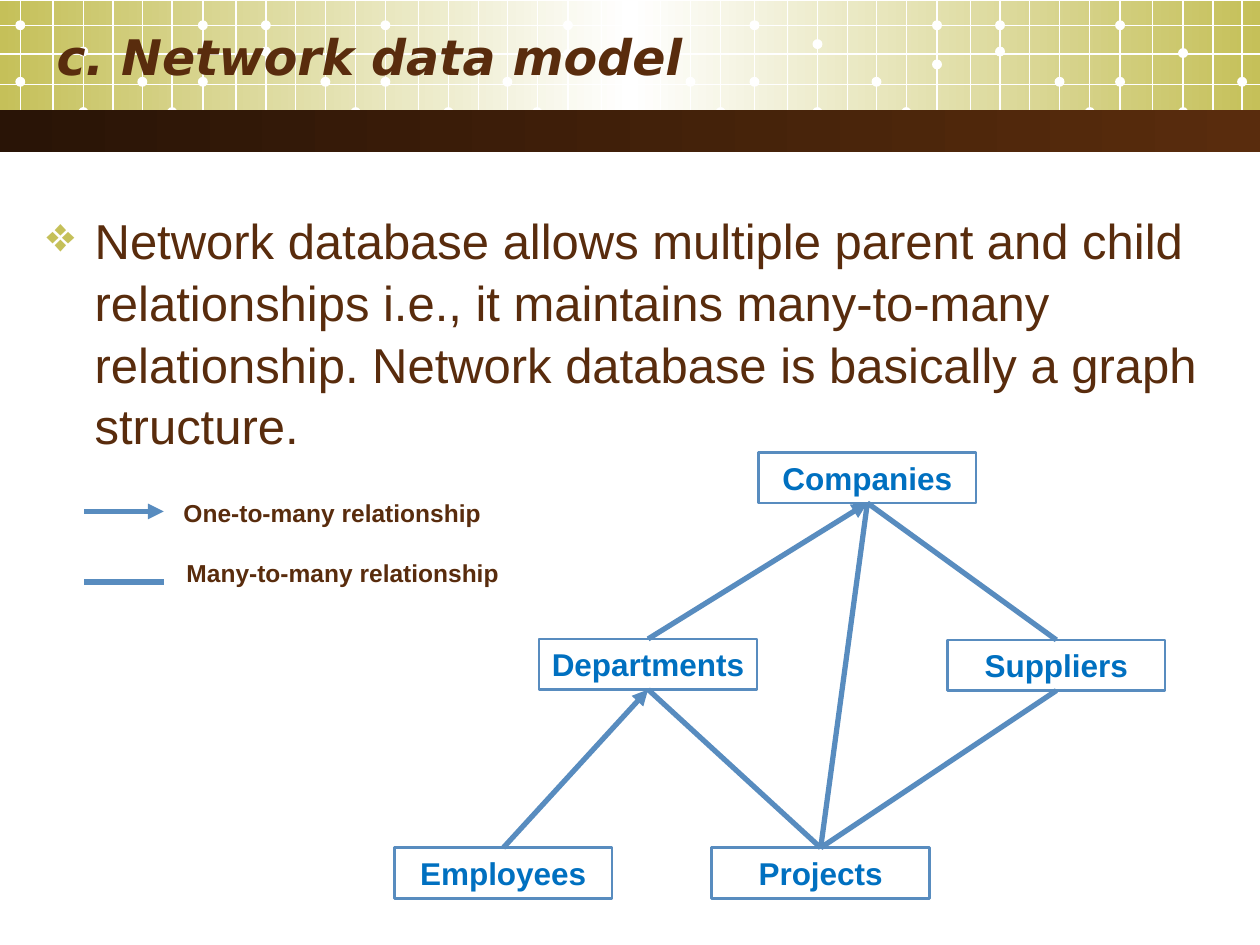
"""Build a slide explaining the network data model with a record graph."""
from copy import deepcopy

from lxml import etree
from pptx import Presentation
from pptx.dml.color import RGBColor
from pptx.enum.shapes import MSO_CONNECTOR, MSO_SHAPE
from pptx.enum.text import MSO_ANCHOR, PP_ALIGN
from pptx.oxml.ns import qn
from pptx.util import Cm, Pt

RECT, OVAL = MSO_SHAPE.RECTANGLE, MSO_SHAPE.OVAL
LINE = MSO_CONNECTOR.STRAIGHT
TOP, MIDDLE = MSO_ANCHOR.TOP, MSO_ANCHOR.MIDDLE
LEFT, CENTER = PP_ALIGN.LEFT, PP_ALIGN.CENTER
COLORS = {
    "white": "FFFFFF", "olive": "C5C059", "dark": "291406",
    "brown": "592C0D", "steel": "588CBF", "blue": "0070C0",
}
HUES = {name: RGBColor.from_string(code) for name, code in COLORS.items()}

deck = Presentation()
deck.slide_width, deck.slide_height = Cm(25.4), Cm(19.05)
slide = deck.slides.add_slide(deck.slide_layouts[6])
shapes = slide.shapes


def join(start, end, hue, width, arrow=False):
    """Draw a straight line, with an optional arrowhead at its start."""
    line = shapes.add_connector(LINE, *[Cm(n) for n in start + end])
    line.line.color.rgb = HUES[hue]
    line.line.width = Pt(width)
    if arrow:
        head = etree.SubElement(line.line._get_or_add_ln(), qn("a:headEnd"))
        head.set("type", "triangle")
    etree.SubElement(line._element.spPr, qn("a:effectLst"))


def write(shape, text, size, hue, bold=True, align=LEFT, anchor=TOP, font="Arial"):
    """Fill a shape with one styled paragraph and return the paragraph."""
    frame = shape.text_frame
    frame.word_wrap = True
    frame.vertical_anchor = anchor
    frame.text = text
    para = frame.paragraphs[0]
    para.alignment = align
    face = para.runs[0].font
    face.name, face.size, face.bold = font, Pt(size), bold
    face.color.rgb = HUES[hue]
    return para


bands = [
    (0.03, 2.59, ["olive", "white", "olive"]),
    (2.22, 0.84, ["dark", "brown"]),
]
bars = []
for top, height, hues in bands:
    bar = shapes.add_shape(RECT, Cm(0), Cm(top), Cm(25.4), Cm(height))
    bar.shadow.inherit = False
    bar.line.fill.background()
    bar.fill.gradient()
    bar.fill.gradient_angle = 0
    stops = bar._element.spPr.find(".//" + qn("a:gsLst"))
    if len(hues) == 3:
        stops.insert(1, deepcopy(stops[0]))
        stops[1].set("pos", "50000")
    for stop, hue in zip(bar.fill.gradient_stops, hues):
        stop.color.rgb = HUES[hue]
    bars.append(bar)

starts = [0.41, 7.77, 15.21, 22.58]
steps = [0, 0.66, 1.27, 1.87, 2.46, 3.06, 3.68, 4.35, 4.95, 5.55, 6.15, 6.76]
second = [1.04, 1.04, 0.89, 1.07]
sixth = [1.65, 1.09, 1.3, 1.3]
for start, high, low in zip(starts, second, sixth):
    dots = {
        0: [0.51, 1.65], 2: [high, 2.26], 4: [1.65], 5: [2.26],
        6: [0.51, low], 8: [0.51, 1.04], 10: [1.65], 11: [2.26],
    }
    for i, step in enumerate(steps):
        x = start + step
        if x > 25.4:
            break
        join((x, 0), (x, 2.8), "white", 0.75)
        for y in dots.get(i, []):
            dot = shapes.add_shape(OVAL, Cm(x - 0.1), Cm(y - 0.1), Cm(0.2), Cm(0.2))
            dot.shadow.inherit = False
            dot.fill.solid()
            dot.fill.fore_color.rgb = HUES["white"]
            dot.line.fill.background()
for y in [0.51, 1.09, 1.7, 2.26]:
    join((0, y), (25.4, y), "white", 0.75)
shapes._spTree.append(bars[1]._element)

title = shapes.add_textbox(Cm(0.89), Cm(0.13), Cm(23.22), Cm(2.01))
para = write(title, "c. Network data model", 28, "brown",
             anchor=MIDDLE, font="DejaVu Sans")
para.runs[0].font.italic = True

body = shapes.add_textbox(Cm(0.69), Cm(4.06), Cm(23.85), Cm(14.5))
para = write(
    body,
    "Network database allows multiple parent and child relationships i.e., "
    "it maintains many-to-many relationship. Network database is basically "
    "a graph structure.",
    28, "brown", bold=False)
para.line_spacing = 1.05
props = para._p.get_or_add_pPr()
props.set("marL", str(Cm(0.97)))
props.set("indent", str(Cm(-0.97)))
tint = etree.SubElement(props, qn("a:buClr"))
etree.SubElement(tint, qn("a:srgbClr")).set("val", COLORS["olive"])
etree.SubElement(props, qn("a:buChar")).set("char", "❖")

nodes = [
    ("Companies", 15.29, 9.12), ("Departments", 10.87, 12.88),
    ("Suppliers", 19.1, 12.9), ("Employees", 7.95, 17.09),
    ("Projects", 14.35, 17.09),
]
wide, tall = 4.39, 1.02
tops, feet = {}, {}
for name, x, y in nodes:
    box = shapes.add_shape(RECT, Cm(x), Cm(y), Cm(wide), Cm(tall))
    box.shadow.inherit = False
    box.fill.background()
    box.line.color.rgb = HUES["steel"]
    box.line.width = Pt(1.5)
    write(box, name, 18, "blue", align=CENTER)
    tops[name] = (x + wide / 2, y)
    feet[name] = (x + wide / 2, y + tall)

links = [
    ("Companies", "Departments", True), ("Departments", "Employees", True),
    ("Departments", "Projects", False), ("Companies", "Suppliers", False),
    ("Companies", "Projects", False), ("Suppliers", "Projects", False),
]
for upper, lower, arrow in links:
    join(feet[upper], tops[lower], "steel", 3, arrow)

legend = [
    ("One-to-many relationship", 10.31, 3.45, 9.91, True),
    ("Many-to-many relationship", 11.73, 3.51, 11.13, False),
]
for text, y, x, top, arrow in legend:
    join((3.3, y), (1.7, y), "steel", 3, arrow)
    label = shapes.add_textbox(Cm(x), Cm(top), Cm(9.25), Cm(0.86))
    write(label, text, 14, "brown")

deck.save("out.pptx")
